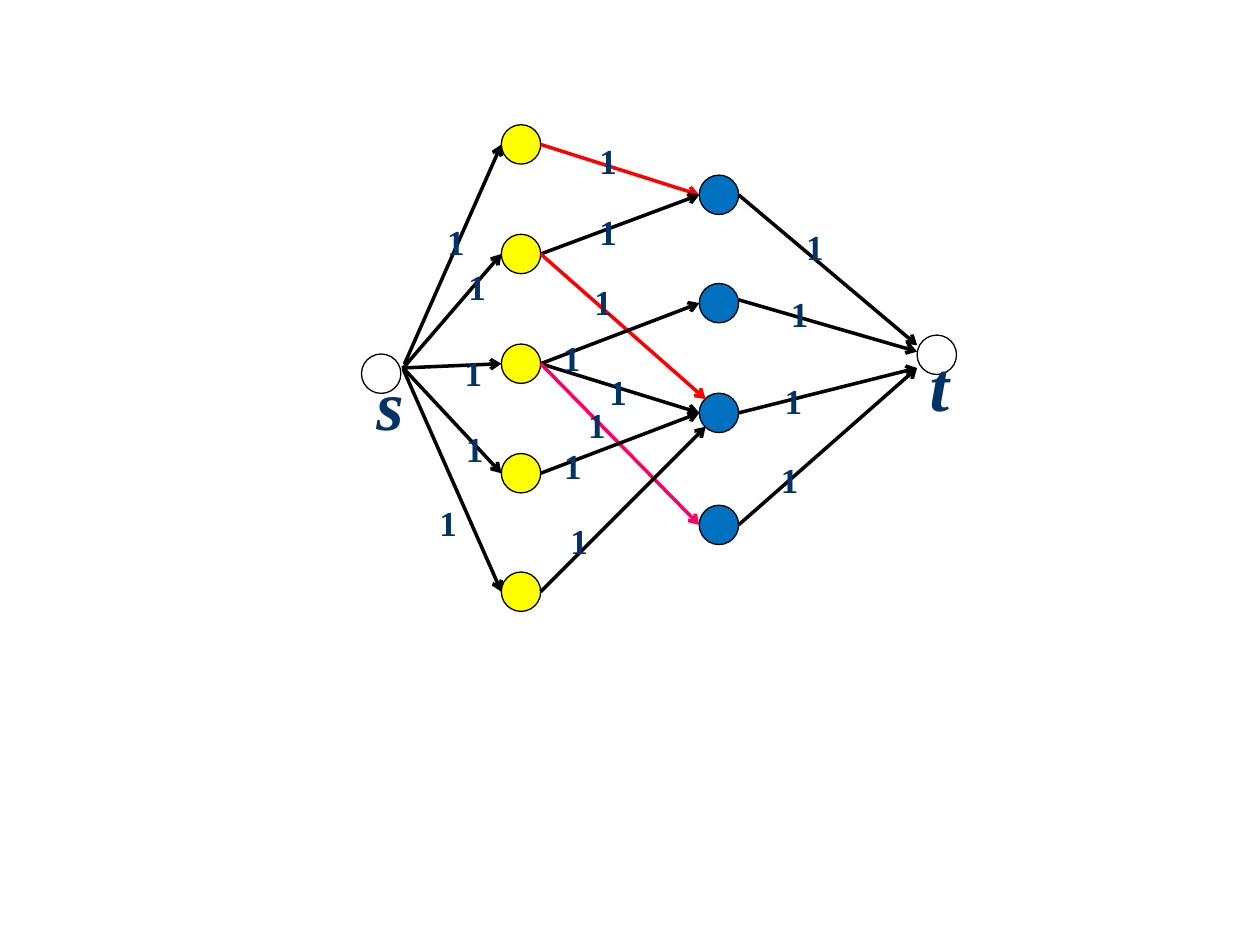
from lxml.etree import SubElement
from pptx import Presentation
from pptx.dml.color import RGBColor
from pptx.enum.shapes import MSO_CONNECTOR, MSO_SHAPE
from pptx.oxml.ns import qn
from pptx.util import Pt

BLACK, RED, PINK, NAVY = "000000", "FF0000", "FF0066", "003366"
YELLOW, BLUE, WHITE = "FFFF00", "0070C0", "FFFFFF"
NODE = 22.5
MIDDLE = NODE / 2

# All positions are points from the top left corner of the network.
LEFT_X, RIGHT_X = 79.9, 193
LEFT_TOPS = [0, 62.6, 125.3, 187.9, 255.6]
RIGHT_TOPS = [28.8, 90.7, 153.4, 217.4]
SOURCE, SINK = (0, 131), (317.5, 120.2)

# Start of each source edge and place of its label, by left node
SOURCE_EDGES = [
    ((24.5, 136.8), (41.8, 51.1)),
    ((23.8, 139), (54, 77)),
    ((23, 139), (51.8, 126)),
    ((23.8, 139), (52.6, 169.2)),
    ((23.8, 139.7), (37.4, 211.7)),
]
# Left node, right node, colour, shift of the arrow tip, label place
MATCH_EDGES = [
    (0, 0, RED, (0, 0), (128.9, 5)),
    (1, 0, BLACK, (0, 0), (128.9, 45.4)),
    (1, 2, RED, (3.6, -7.9), (126, 85.7)),
    (2, 1, BLACK, (0, 0), (108, 117.4)),
    (2, 2, BLACK, (0, 0), (134.6, 136.8)),
    (2, 3, PINK, (0, 0), (122.4, 155.5)),
    (3, 2, BLACK, (0, 0), (108.7, 179.3)),
    (4, 2, BLACK, (3.6, 7.9), (112.3, 221.8)),
]
# Shift of the start, height of the arrow tip, label place, by right node
SINK_EDGES = [
    (0, 126, (247, 54)),
    (-1.9, 129.6, (238.3, 92.2)),
    (0, 139, (234.7, 141.8)),
    (0, 139, (232.6, 187.2)),
]


def color(value):
    return RGBColor.from_string(value)


def add_node(page, left, top, fill):
    node = page.shapes.add_shape(MSO_SHAPE.OVAL, Pt(left), Pt(top), Pt(NODE), Pt(NODE))
    node.shadow.inherit = False
    node.fill.solid()
    node.fill.fore_color.rgb = color(fill)
    node.line.color.rgb = color(BLACK)
    node.line.width = Pt(0.75)


def add_arrow(page, start, end, stroke=BLACK):
    arrow = page.shapes.add_connector(
        MSO_CONNECTOR.STRAIGHT, *(Pt(value) for value in (*start, *end)))
    arrow.line.color.rgb = color(stroke)
    arrow.line.width = Pt(2)
    SubElement(arrow.line._get_or_add_ln(), qn("a:tailEnd"), type="arrow")
    SubElement(arrow._element.spPr, qn("a:effectLst"))


def add_label(page, left, top, text, size=20, height=31.7, italic=False):
    box = page.shapes.add_textbox(Pt(left), Pt(top), Pt(28), Pt(height))
    box.text_frame.word_wrap = True
    box.text_frame.text = text
    font = box.text_frame.paragraphs[0].runs[0].font
    font.name = "Times New Roman"
    font.size = Pt(size)
    font.bold = True
    font.italic = italic
    font.color.rgb = color(NAVY)


def add_flow_network(page, left, top):
    def at(x, y):
        return left + x, top + y

    for x, tops, fill in ((LEFT_X, LEFT_TOPS, YELLOW), (RIGHT_X, RIGHT_TOPS, BLUE)):
        for node_top in tops:
            add_node(page, *at(x, node_top), fill)

    for first, second, stroke, (shift_x, shift_y), _ in MATCH_EDGES:
        add_arrow(page, at(LEFT_X + NODE, LEFT_TOPS[first] + MIDDLE),
                  at(RIGHT_X + shift_x, RIGHT_TOPS[second] + MIDDLE + shift_y), stroke)

    for (x, y), letter, indent in ((SOURCE, "s", 1.4), (SINK, "t", 0)):
        add_node(page, *at(x, y), WHITE)
        add_label(page, *at(x + indent, y), letter, size=40, height=55.4, italic=True)

    for (start, _), node_top in zip(SOURCE_EDGES, LEFT_TOPS):
        add_arrow(page, at(*start), at(LEFT_X, node_top + MIDDLE))
    for (shift, tip, _), node_top in zip(SINK_EDGES, RIGHT_TOPS):
        add_arrow(page, at(RIGHT_X + NODE, node_top + MIDDLE + shift), at(SINK[0], tip))

    for *_, place in SOURCE_EDGES + MATCH_EDGES + SINK_EDGES:
        add_label(page, *at(*place), "1")


def main():
    deck = Presentation()
    deck.slide_width, deck.slide_height = Pt(720), Pt(540)
    page = deck.slides.add_slide(deck.slide_layouts[6])
    add_flow_network(page, 206.6, 71.3)
    deck.save("out.pptx")


if __name__ == "__main__":
    main()
